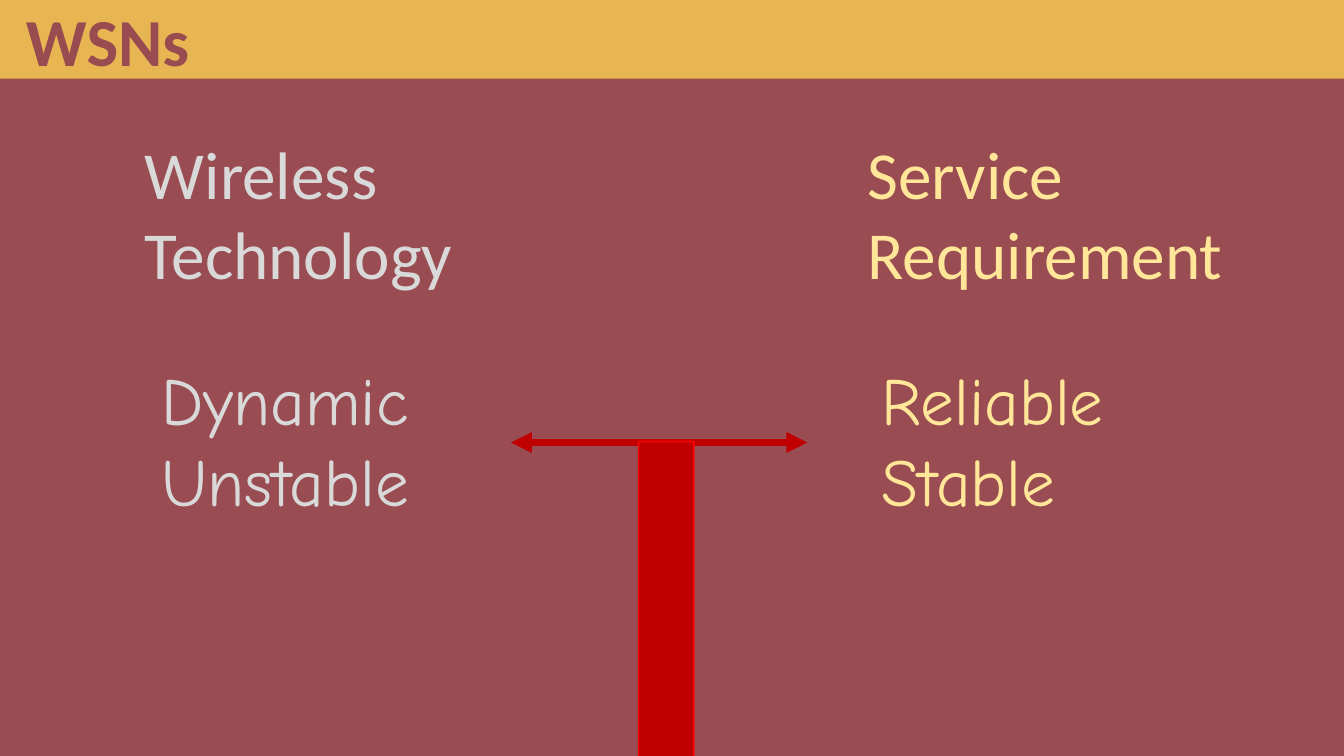
from dataclasses import dataclass

from lxml import etree
from pptx import Presentation
from pptx import util as u
from pptx.dml.color import RGBColor
from pptx.enum import shapes, text
from pptx.oxml import ns


@dataclass(frozen=True)
class Theme:
    background: str = "994C52"
    band: str = "E7B552"
    title: str = "984C50"
    technology: str = "D9D9D9"
    requirement: str = "FFE699"
    conflict: str = "C00000"
    conflict_edge: str = "FF0000"
    heading_font: str = "Calibri"
    quality_font: str = "Comic Neue"
    size: int = 48


THEME = Theme()
SLIDE_W, SLIDE_H = 960, 540


def paint(fill, color):
    fill.solid()
    fill.fore_color.rgb = RGBColor.from_string(color)


def add_label(slide, box, wording, color, font, bold=False):
    label = slide.shapes.add_textbox(*map(u.Pt, box))
    frame = label.text_frame
    frame.word_wrap = True
    frame.auto_size = text.MSO_AUTO_SIZE.SHAPE_TO_FIT_TEXT
    frame.text = wording
    for paragraph in frame.paragraphs:
        for run in paragraph.runs:
            run.font.name = font
            run.font.size = u.Pt(THEME.size)
            run.font.bold = bold
            run.font.color.rgb = RGBColor.from_string(color)


# Title band across the top
def add_title_band(slide, box, title):
    left, top, width, height = box
    band = slide.shapes.add_shape(shapes.MSO_SHAPE.RECTANGLE, *map(u.Pt, box))
    band.shadow.inherit = False
    paint(band.fill, THEME.band)
    band.line.fill.background()
    add_label(slide, (left + 11.5, top - 4.3, 327, 65.5), title,
              THEME.title, THEME.heading_font, bold=True)


# One side of the contrast: a heading above its qualities
def add_side(slide, box, heading, qualities, color, indent):
    left, top, width, height = box
    label_h = 123.8
    add_label(slide, (left, top, width, label_h), heading,
              color, THEME.heading_font)
    add_label(slide, (left + indent, top + height - label_h, 235.4, label_h),
              "\n".join(qualities), color, THEME.quality_font)


# Two-headed line between the sides, with an arrow leading down from it
def add_conflict(slide, box):
    left, top, width, height = box
    span = slide.shapes.add_connector(
        shapes.MSO_CONNECTOR.STRAIGHT,
        u.Pt(left), u.Pt(top), u.Pt(left + width), u.Pt(top))
    span.line.width = u.Pt(5)
    paint(span.line.fill, THEME.conflict)
    outline = span.line._get_or_add_ln()
    for end in ("a:headEnd", "a:tailEnd"):
        etree.SubElement(outline, ns.qn(end), type="triangle")
    etree.SubElement(span._element.spPr, ns.qn("a:effectLst"))

    arrow_w = 79.2
    arrow = slide.shapes.add_shape(
        shapes.MSO_SHAPE.DOWN_ARROW, u.Pt(left + 71.3), u.Pt(top - 0.7),
        u.Pt(arrow_w), u.Pt(height))
    arrow.shadow.inherit = False
    paint(arrow.fill, THEME.conflict)
    paint(arrow.line.fill, THEME.conflict_edge)
    arrow.line.width = u.Pt(1)


def main():
    deck = Presentation()
    deck.slide_width, deck.slide_height = u.Pt(SLIDE_W), u.Pt(SLIDE_H)
    slide = deck.slides.add_slide(deck.slide_layouts[6])
    paint(slide.background.fill, THEME.background)

    add_title_band(slide, (0, 0, SLIDE_W, 56.2), "WSNs")
    add_side(slide, (96.5, 90.7, 235.4, 285.8), "Wireless Technology",
             ("Dynamic", "Unstable"), THEME.technology, indent=11.5)
    add_side(slide, (612.7, 90.7, 303.1, 285.8), "Service Requirement",
             ("Reliable", "Stable"), THEME.requirement, indent=10.1)
    add_conflict(slide, (365, 316.1, 211.7, 383))
    deck.save("out.pptx")


if __name__ == "__main__":
    main()
